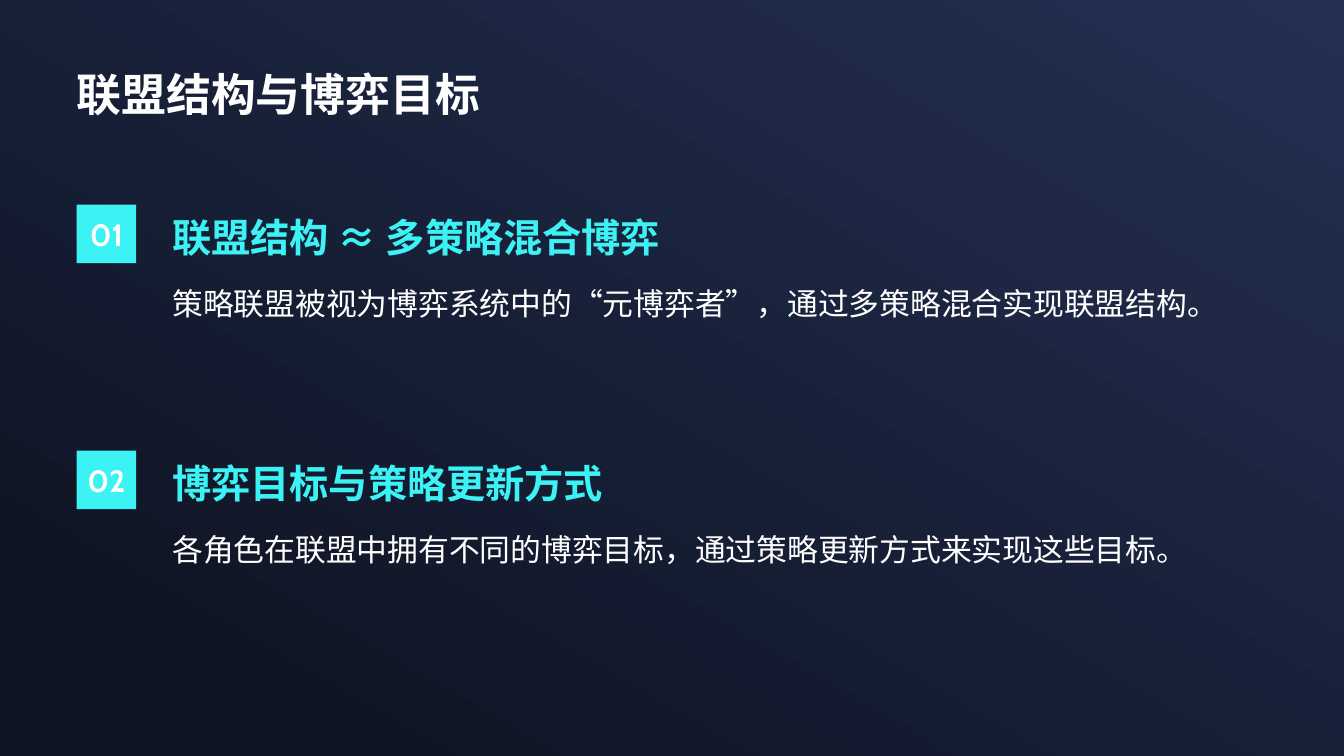
"""Build the slide on alliance structure and game goals."""
from dataclasses import dataclass

import pptx
import pptx.dml.color
import pptx.enum.shapes
import pptx.enum.text
import pptx.util

Inches = pptx.util.Inches
Align = pptx.enum.text.PP_ALIGN
Anchor = pptx.enum.text.MSO_ANCHOR


@dataclass(frozen=True)
class Theme:
    """Hold the colours, font and type sizes."""
    font: str = "Cabin"
    light: str = "243053"
    dark: str = "0F1423"
    white: str = "FFFFFF"
    accent: str = "3CF2F4"
    title: int = 32
    head: int = 28
    body: int = 22


THEME = Theme()
WIDTH, HEIGHT = 13.33, 7.5
LEFT, SPAN = 0.76, 11.81
TOP, PITCH = 2.03, 2.44
INDENT = 0.95
TITLE = "联盟结构与博弈目标"
POINTS = [
    ("联盟结构 ≈ 多策略混合博弈",
     "策略联盟被视为博弈系统中的“元博弈者”，通过多策略混合实现联盟结构。"),
    ("博弈目标与策略更新方式",
     "各角色在联盟中拥有不同的博弈目标，通过策略更新方式来实现这些目标。"),
]


def color(code):
    """Return the colour for a hex code."""
    return pptx.dml.color.RGBColor.from_string(code)


def write(shape, text, size, tint, bold=False, anchor=Anchor.TOP,
          align=Align.LEFT, wrap=True, lead=1.0):
    """Put one formatted paragraph into a shape without insets."""
    frame = shape.text_frame
    frame.text = text
    frame.auto_size = pptx.enum.text.MSO_AUTO_SIZE.NONE
    frame.word_wrap = wrap
    frame.vertical_anchor = anchor
    frame.margin_left = frame.margin_right = 0
    frame.margin_top = frame.margin_bottom = 0
    para = frame.paragraphs[0]
    para.alignment = align
    para.line_spacing = lead
    font = para.runs[0].font
    font.name = THEME.font
    font.size = pptx.util.Pt(size)
    font.bold = bold
    font.color.rgb = color(tint)


def paint(slide):
    """Fill the background with a diagonal gradient."""
    fill = slide.background.fill
    fill.gradient()
    fill.gradient_angle = 240
    stops = zip(fill.gradient_stops, (THEME.light, THEME.dark), (0, 0.9))
    for stop, tint, place in stops:
        stop.color.rgb = color(tint)
        stop.position = place


def head(slide, left, top, width, height):
    """Place the slide title in its box."""
    shape = slide.shapes.title
    shape.left, shape.top = Inches(left), Inches(top)
    shape.width, shape.height = Inches(width), Inches(height)
    write(shape, TITLE, THEME.title, THEME.white, True, Anchor.BOTTOM)


def badge(slide, label, left, top):
    """Draw a numbered tile at the given corner."""
    tile = slide.shapes.add_shape(
        pptx.enum.shapes.MSO_SHAPE.RECTANGLE,
        Inches(left), Inches(top), Inches(0.59), Inches(0.58))
    tile.shadow.inherit = False
    tile.fill.solid()
    tile.fill.fore_color.rgb = color(THEME.accent)
    tile.line.fill.background()
    write(tile, label, THEME.body, THEME.white, True,
          Anchor.MIDDLE, Align.CENTER, False)


def point(slide, label, name, detail, left, top, width):
    """Place a tile, a heading and its detail in one row."""
    badge(slide, label, left, top)
    start, room = Inches(left + INDENT), Inches(width - INDENT)
    box = slide.shapes.add_textbox(start, Inches(top), room, Inches(0.55))
    write(box, name, THEME.head, THEME.accent, True, Anchor.BOTTOM)
    box = slide.shapes.add_textbox(
        start, Inches(top + 0.61), room, Inches(1.1))
    write(box, detail, THEME.body, THEME.white, lead=1.5)


def main():
    """Build and save the deck."""
    deck = pptx.Presentation()
    deck.slide_width, deck.slide_height = Inches(WIDTH), Inches(HEIGHT)
    slide = deck.slides.add_slide(deck.slide_layouts[5])
    paint(slide)
    head(slide, LEFT, 0.43, SPAN, 0.77)
    for row, (name, detail) in enumerate(POINTS):
        point(slide, f"{row + 1:02d}", name, detail,
              LEFT, TOP + row * PITCH, SPAN)
    deck.save("out.pptx")


if __name__ == "__main__":
    main()
